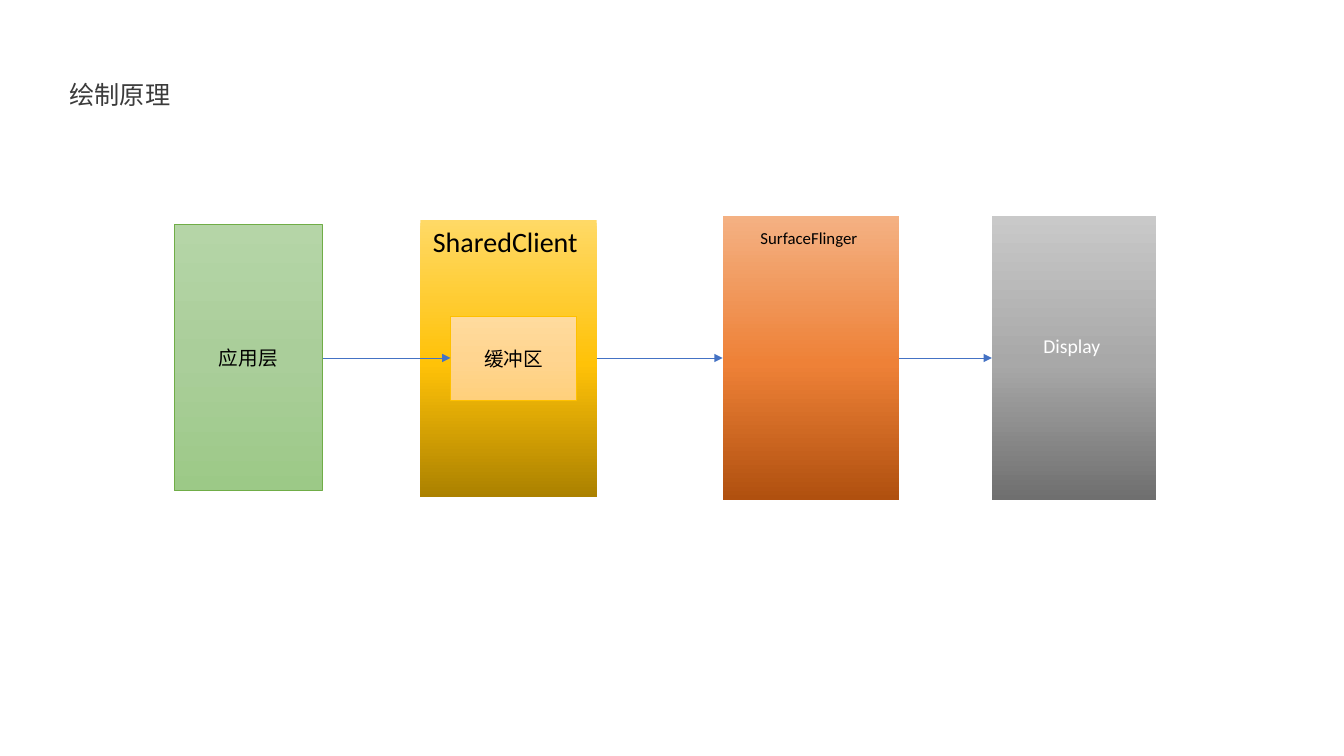
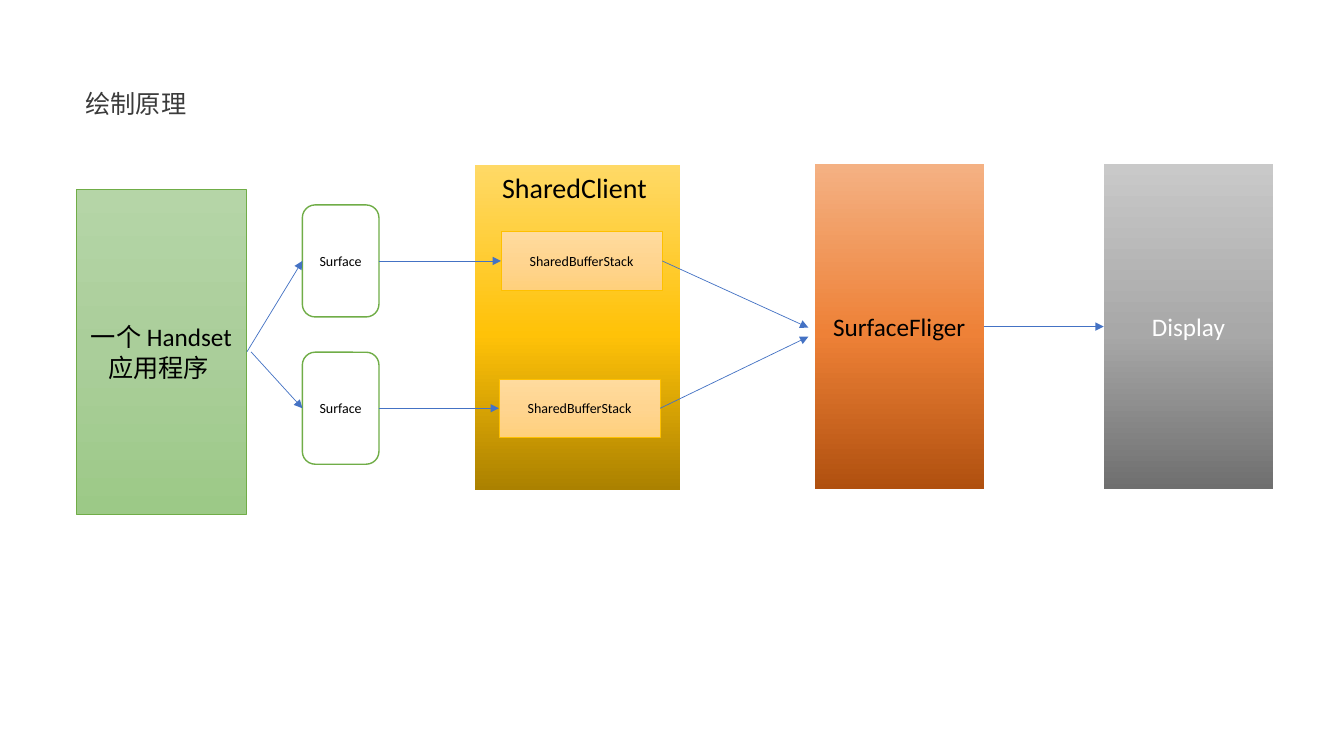
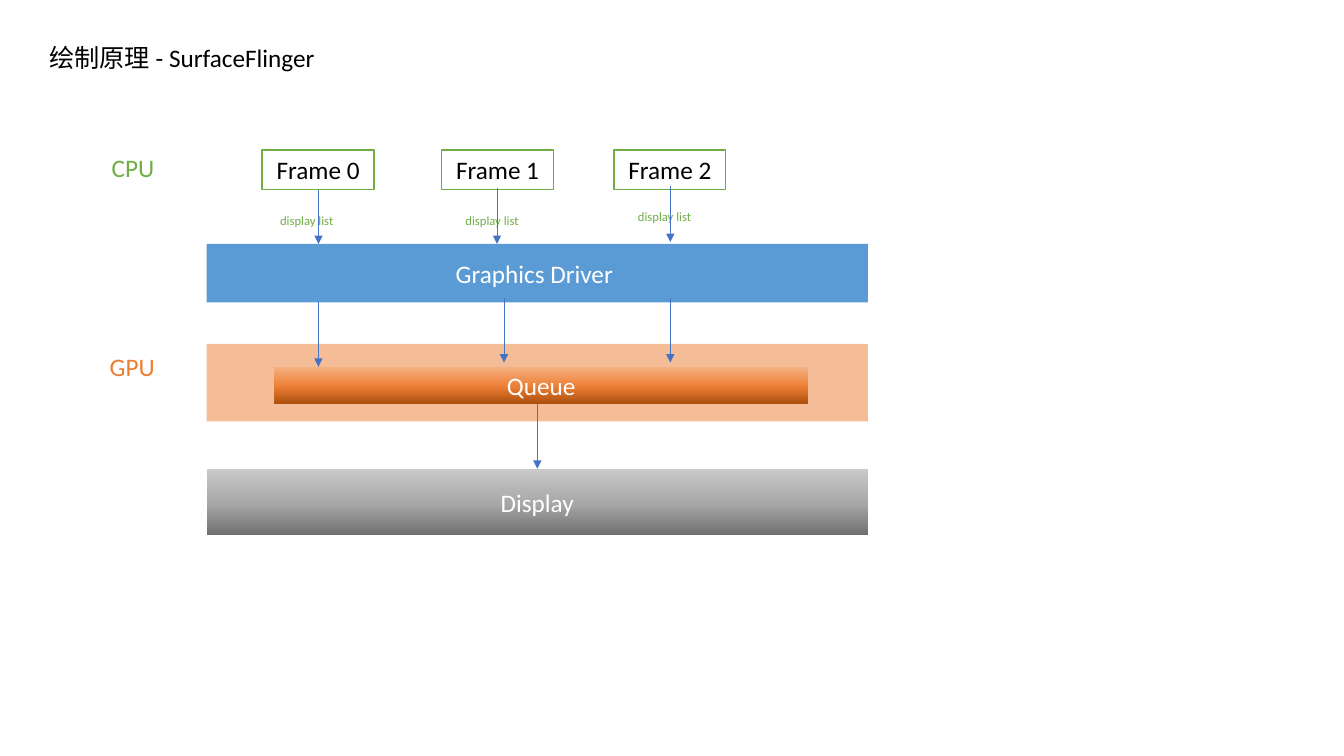
"""Builds three slides that explain the drawing pipeline, from application to display."""

import copy
import dataclasses
import typing

import lxml.etree
import pptx
import pptx.dml.color
import pptx.enum.shapes
import pptx.enum.text
import pptx.oxml.ns
import pptx.slide
import pptx.util

Pt = pptx.util.Pt
RGB = pptx.dml.color.RGBColor
ANCHOR = pptx.enum.text.MSO_ANCHOR
qn = pptx.oxml.ns.qn

BLACK = RGB(0x00, 0x00, 0x00)
WHITE = RGB(0xFF, 0xFF, 0xFF)
CHARCOAL = RGB(0x3B, 0x3B, 0x3B)
GREEN = RGB(0x70, 0xAD, 0x47)
GOLD = RGB(0xFF, 0xC0, 0x00)
ORANGE = RGB(0xED, 0x7D, 0x31)
SKY = RGB(0x5B, 0x9B, 0xD5)
ARROW_BLUE = RGB(0x44, 0x72, 0xC4)
GREEN_FADE = (RGB(0xB5, 0xD5, 0xA7), RGB(0xAA, 0xCE, 0x9A), RGB(0x9C, 0xC9, 0x87))
SAND_FADE = (RGB(0xFF, 0xDB, 0x9E), RGB(0xFF, 0xD5, 0x90), RGB(0xFF, 0xD0, 0x7C))
GOLD_FADE = (RGB(0xFF, 0xD9, 0x66), RGB(0xFF, 0xC2, 0x08), RGB(0xAB, 0x81, 0x00))
ORANGE_FADE = (RGB(0xF4, 0xB1, 0x83), RGB(0xEE, 0x81, 0x37), RGB(0xB0, 0x50, 0x0F))
GREY_FADE = (RGB(0xC9, 0xC9, 0xC9), RGB(0xA8, 0xA8, 0xA8), RGB(0x6F, 0x6F, 0x6F))

BODY_FONT = "Calibri"
TITLE_FONT = "Noto Sans Mono"


@dataclasses.dataclass(frozen=True)
class Style:
    """Fill from top to bottom, outline and text colour of a box."""

    fill: tuple[RGB, ...]
    ink: RGB = BLACK
    outline: RGB | None = None
    outline_width: float = 0.5
    middle: float = 0.52
    opacity: int = 100


APPLICATION = Style(GREEN_FADE, outline=GREEN, middle=0.5)
BUFFER = Style(SAND_FADE, outline=GOLD, middle=0.5)
SHARED_CLIENT = Style(GOLD_FADE)
FLINGER = Style(ORANGE_FADE)
QUEUE = Style(ORANGE_FADE, WHITE)
DISPLAY = Style(GREY_FADE, WHITE)
OUTLINED = Style((WHITE,), outline=GREEN, outline_width=1)
DRIVER = Style((SKY,), WHITE)
GPU_BAND = Style((ORANGE,), opacity=50)


@dataclasses.dataclass(frozen=True)
class Box:
    """A filled shape with a centred label."""

    style: Style
    left: float
    top: float
    width: float
    height: float
    text: str = ""
    size: float = 18
    anchor: ANCHOR = ANCHOR.MIDDLE
    rounded: bool = False
    inset_top: float = 3.6
    inset_bottom: float = 3.6


@dataclasses.dataclass(frozen=True)
class Label:
    """Free text; it wraps only when a width is asked for."""

    text: str
    left: float
    top: float
    width: float
    height: float = 28.8
    ink: RGB = BLACK
    size: float = 18
    font: str = BODY_FONT
    wrap: bool = False


class Arrow(typing.NamedTuple):
    """A thin arrow between two points."""

    x1: float
    y1: float
    x2: float
    y2: float


class FrameColumn(typing.NamedTuple):
    """One frame with its display list and its arrows to driver and queue."""

    left: float
    note_left: float
    note_top: float
    drop_x: float
    drop_top: float
    drop_end: float
    queue_x: float
    queue_top: float
    queue_end: float


def add_run(paragraph: typing.Any, text: str, size: float, ink: RGB, font: str = BODY_FONT) -> None:
    """Add one formatted run."""
    run = paragraph.add_run()
    run.text = text
    run.font.size = Pt(size)
    run.font.name = font
    run.font.color.rgb = ink


def paint(shape: typing.Any, style: Style) -> None:
    """Give a shape its fill and outline."""
    if len(style.fill) == 1:
        shape.fill.solid()
        shape.fill.fore_color.rgb = style.fill[0]
        if style.opacity < 100:
            color = shape.fill._xPr.find(".//" + qn("a:srgbClr"))
            lxml.etree.SubElement(color, qn("a:alpha"), val=str(style.opacity * 1000))
    else:
        shape.fill.gradient()
        shape.fill.gradient_angle = 270
        stop_list = shape.fill._xPr.find(".//" + qn("a:gsLst"))
        stop_list.append(copy.deepcopy(stop_list[0]))
        positions = (0, style.middle, 1)
        for stop, color, position in zip(shape.fill.gradient_stops, style.fill, positions):
            stop.color.rgb = color
            stop.position = position
    if style.outline is None:
        shape.line.fill.background()
    else:
        shape.line.color.rgb = style.outline
        shape.line.width = Pt(style.outline_width)


def draw_box(slide: pptx.slide.Slide, box: Box) -> None:
    """Draw a box and its label."""
    kinds = pptx.enum.shapes.MSO_SHAPE
    kind = kinds.ROUNDED_RECTANGLE if box.rounded else kinds.RECTANGLE
    shape = slide.shapes.add_shape(kind, Pt(box.left), Pt(box.top), Pt(box.width), Pt(box.height))
    shape.shadow.inherit = False
    paint(shape, box.style)
    if box.text:
        frame = shape.text_frame
        frame.word_wrap = True
        frame.vertical_anchor = box.anchor
        frame.margin_top = Pt(box.inset_top)
        frame.margin_bottom = Pt(box.inset_bottom)
        frame.paragraphs[0].alignment = pptx.enum.text.PP_ALIGN.CENTER
        add_run(frame.paragraphs[0], box.text, box.size, box.style.ink)


def draw_label(slide: pptx.slide.Slide, label: Label) -> None:
    """Draw free text."""
    area = (Pt(label.left), Pt(label.top), Pt(label.width), Pt(label.height))
    frame = slide.shapes.add_textbox(*area).text_frame
    frame.word_wrap = label.wrap
    frame.auto_size = pptx.enum.text.MSO_AUTO_SIZE.SHAPE_TO_FIT_TEXT
    add_run(frame.paragraphs[0], label.text, label.size, label.ink, label.font)


def draw_arrow(slide: pptx.slide.Slide, arrow: Arrow) -> None:
    """Draw an arrow that points at its second point."""
    line = slide.shapes.add_connector(
        pptx.enum.shapes.MSO_CONNECTOR.STRAIGHT, *(Pt(value) for value in arrow)
    )
    line.line.color.rgb = ARROW_BLUE
    line.line.width = Pt(0.5)
    lxml.etree.SubElement(line.line._get_or_add_ln(), qn("a:tailEnd"), type="triangle")
    lxml.etree.SubElement(line._element.spPr, qn("a:effectLst"))


def add_slide(
    deck: typing.Any, labels: list[Label], boxes: list[Box], arrows: list[Arrow]
) -> None:
    """Add a slide with boxes at the back and arrows in front."""
    slide = deck.slides.add_slide(deck.slide_layouts[6])
    for box in boxes:
        draw_box(slide, box)
    for label in labels:
        draw_label(slide, label)
    for arrow in arrows:
        draw_arrow(slide, arrow)


def principle_title(left: float, top: float) -> Label:
    """Return the title of the two overview slides."""
    return Label("绘制原理", left, top, 87, ink=CHARCOAL, font=TITLE_FONT)


def add_overview(deck: typing.Any) -> None:
    """Add the slide with the four stages."""
    flow_y = 255.7
    boxes = [
        Box(APPLICATION, 124.6, 160.6, 105.8, 190, "应用层", 14),
        Box(SHARED_CLIENT, 300.2, 157, 126, 198, "SharedClient ", 20, ANCHOR.TOP),
        Box(BUFFER, 321.8, 226, 90, 59.8, "缓冲区", 14),
        Box(FLINGER, 516.2, 154, 126, 203, "SurfaceFlinger ", 12, ANCHOR.TOP, inset_top=8.5),
        Box(DISPLAY, 708.5, 154, 117.4, 203, "Display ", 14, inset_bottom=20.6),
    ]
    spans = ((230.4, 321.8), (426.2, 516.2), (642.2, 708.5))
    arrows = [Arrow(start, flow_y, end, flow_y) for start, end in spans]
    add_slide(deck, [principle_title(42.5, 53.3)], boxes, arrows)


def add_surfaces(deck: typing.Any) -> None:
    """Add the slide where one application owns two surfaces."""
    stage_width, stage_height = 121, 232
    boxes = [
        Box(APPLICATION, 54.7, 135.4, stage_width, stage_height, "一个 Handset 应用程序 "),
        Box(SHARED_CLIENT, 339.1, 118.1, 147, stage_height, "SharedClient ", 20, ANCHOR.TOP),
        Box(FLINGER, 581.8, 117.4, stage_width, stage_height, "SurfaceFliger"),
        Box(DISPLAY, 788.4, 117.4, stage_width, stage_height, "Display"),
    ]
    arrows = [Arrow(702.8, 233.3, 788.4, 233.3)]
    rows = ((186.4, 357.8, 176.4, 234), (291.6, 356.4, 179.3, 240.5))
    for row_y, buffer_left, app_x, flinger_y in rows:
        boxes += [
            Box(OUTLINED, 216, row_y - 40, 54.7, 80, "Surface", 10, rounded=True),
            Box(BUFFER, buffer_left, row_y - 20.9, 115.2, 41.8, "SharedBufferStack", 10),
        ]
        arrows += [
            Arrow(app_x, 251.3, 216, row_y),
            Arrow(270.7, row_y, buffer_left, row_y),
            Arrow(buffer_left + 115.2, row_y, 577.4, flinger_y),
        ]
    add_slide(deck, [principle_title(54, 59.8)], boxes, arrows)


def add_flinger(deck: typing.Any) -> None:
    """Add the slide that follows frames from CPU to display."""
    band_left, band_width = 147.6, 472.3
    boxes = [
        Box(DRIVER, band_left, 174.2, band_width, 41.8, "Graphics Driver "),
        Box(GPU_BAND, band_left, 245.6, band_width, 55.4),
        Box(QUEUE, 195.8, 262, 381.6, 26, "Queue"),
        Box(DISPLAY, band_left, 334.8, band_width, 47.5, "Display"),
    ]
    labels = [
        Label("绘制原理 - SurfaceFlinger", 28.1, 26.6, 210),
        Label("CPU", 72.7, 105.1, 45.4, ink=GREEN),
        Label("GPU", 71.3, 247.7, 47.5, ink=ORANGE),
    ]
    arrows = [Arrow(383.8, 288, 383.8, 334.8)]
    columns = (
        FrameColumn(187.2, 193, 148.3, 227.5, 135.4, 174.2, 227.5, 216, 262),
        FrameColumn(315.4, 325.4, 148.3, 355, 134.6, 174.2, 360, 213, 259),
        FrameColumn(438.5, 448.6, 145.4, 478.8, 133.2, 172.8, 478.8, 213, 259),
    )
    for number, column in enumerate(columns):
        boxes.append(Box(OUTLINED, column.left, 107.3, 80, 28, f"Frame {number}"))
        labels.append(
            Label("display list", column.note_left, column.note_top, 68.4, 18, GREEN, 9, wrap=True)
        )
        arrows += [
            Arrow(column.drop_x, column.drop_top, column.drop_x, column.drop_end),
            Arrow(column.queue_x, column.queue_top, column.queue_x, column.queue_end),
        ]
    add_slide(deck, labels, boxes, arrows)


def main() -> None:
    """Build and save the presentation."""
    deck = pptx.Presentation()
    deck.slide_width, deck.slide_height = Pt(960), Pt(540)
    add_overview(deck)
    add_surfaces(deck)
    add_flinger(deck)
    deck.save("out.pptx")


if __name__ == "__main__":
    main()
